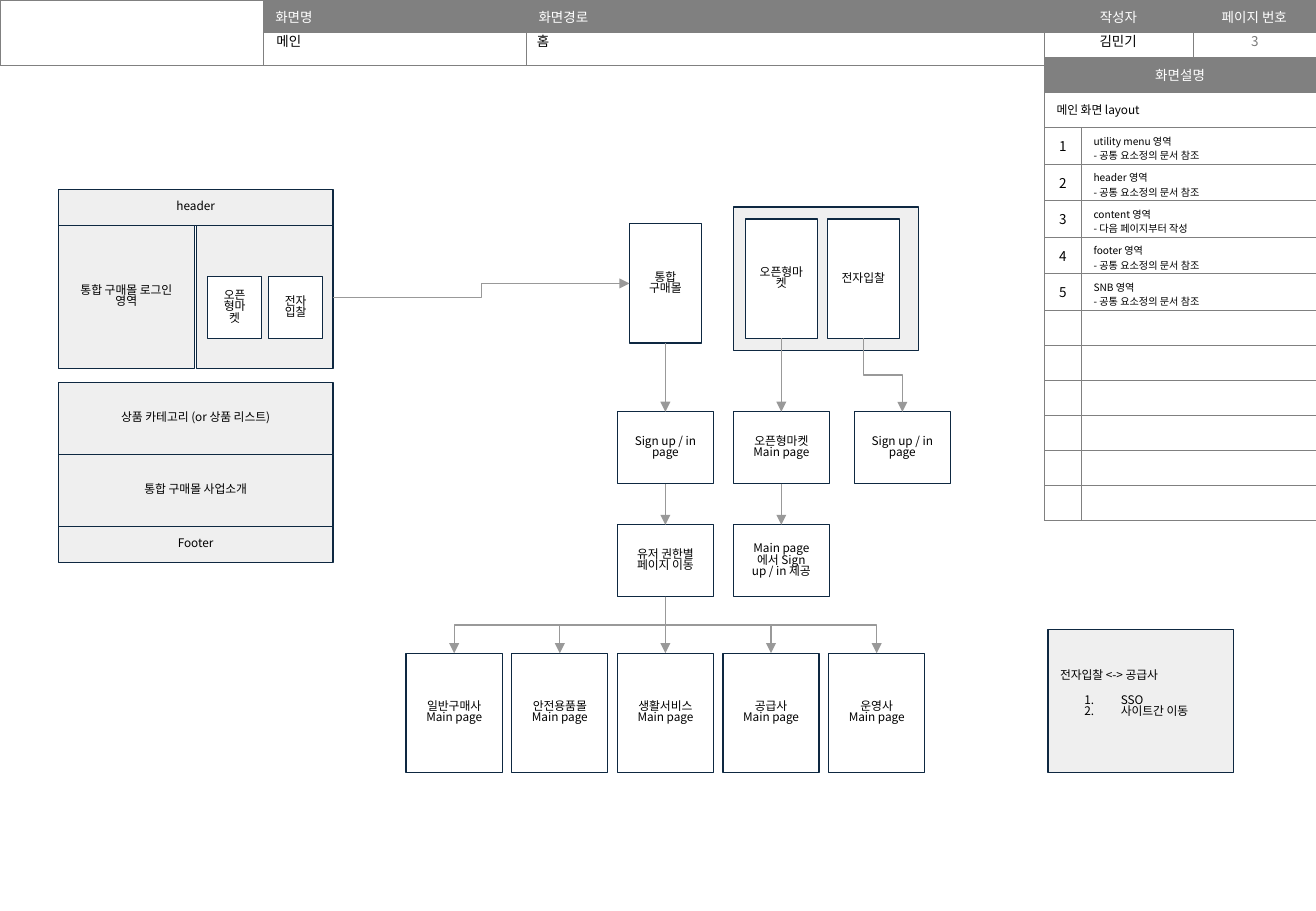
from lxml.etree import SubElement
from pptx import Presentation
from pptx.dml.color import RGBColor
from pptx.enum.shapes import MSO_CONNECTOR, MSO_SHAPE
from pptx.enum.text import MSO_ANCHOR, PP_ALIGN
from pptx.oxml.ns import qn
from pptx.util import Pt

FONT = "Noto Sans CJK KR"
COLORS = {"white": "FFFFFF", "black": "000000", "gray": "808080", "page": "797979",
          "panel": "EFEFEF", "navy": "0E2841", "arrow": "999999"}

# Content
HEADINGS = ["", "화면명", "화면경로", "작성자", "페이지 번호"]
HEADING_WIDTHS = [156, 156, 307, 88, 73]
VALUES = [  # text, left, width, colour, alignment
    ("메인", 156.8, 155, "black", PP_ALIGN.LEFT),
    ("홈", 311.2, 155, "black", PP_ALIGN.LEFT),
    ("김민기", 618.6, 88.4, "black", PP_ALIGN.CENTER),
    ("3", 707.6, 72.4, "page", PP_ALIGN.CENTER),
]
COMMON = "- 공통 요소정의 문서 참조"
AREAS = [("utility menu 영역", COMMON), ("header 영역", COMMON),
         ("content 영역", "- 다음 페이지부터 작성"),
         ("footer 영역", COMMON), ("SNB 영역", COMMON)]
EMPTY_ROWS = 6
SITES = ["일반구매사", "안전용품몰", "생활서비스", "공급사", "운영사"]
NOTE = ["전자입찰 <-> 공급사", "SSO", "사이트간 이동"]

deck = Presentation()
deck.slide_width, deck.slide_height = Pt(780), Pt(540)
page = deck.slides.add_slide(deck.slide_layouts[6])


def color(name):
    return RGBColor.from_string(COLORS[name])


def style(para, size, tint="black", align=PP_ALIGN.CENTER):
    para.alignment = align
    para.font.size = Pt(size)
    para.font.color.rgb = color(tint)
    para.font.name = FONT
    SubElement(para.font._rPr, qn("a:ea"), typeface=FONT)


def set_cell(cell, lines=(), size=8, tint="black", align=PP_ALIGN.LEFT, fill=None):
    if fill:
        cell.fill.solid()
        cell.fill.fore_color.rgb = color(fill)
    else:
        cell.fill.background()
    cell.vertical_anchor = MSO_ANCHOR.MIDDLE
    cell.text_frame.text = "\n".join(lines)
    for para in cell.text_frame.paragraphs:
        style(para, size, tint, align)
        if not lines:
            SubElement(para._p, qn("a:endParaRPr"), sz=str(size * 100))


def add_grid(left, top, widths, heights):
    frame = page.shapes.add_table(len(heights), len(widths), Pt(left), Pt(top),
                                  Pt(sum(widths)), Pt(sum(heights)))
    grid = frame.table
    grid.first_row = grid.horz_banding = False
    for column, width in zip(grid.columns, widths):
        column.width = Pt(width)
    for row, height in zip(grid.rows, heights):
        row.height = Pt(height)
    for cell in grid.iter_cells():
        properties = cell._tc.get_or_add_tcPr()
        for side in ("a:lnL", "a:lnR", "a:lnT", "a:lnB"):
            border = SubElement(properties, qn(side), w=str(Pt(0.25)))
            fill = SubElement(border, qn("a:solidFill"))
            SubElement(fill, qn("a:srgbClr"), val=COLORS["gray"])
        set_cell(cell)
    return grid


def add_box(lines, left, top, width, height, fill="white", align=PP_ALIGN.CENTER):
    box = page.shapes.add_shape(MSO_SHAPE.RECTANGLE, Pt(left), Pt(top), Pt(width), Pt(height))
    box.shadow.inherit = False
    box.fill.solid()
    box.fill.fore_color.rgb = color(fill)
    box.line.color.rgb = color("navy")
    box.line.width = Pt(0.75)
    frame = box.text_frame
    frame.word_wrap = True
    frame.vertical_anchor = MSO_ANCHOR.MIDDLE
    frame.margin_left = frame.margin_right = frame.margin_top = frame.margin_bottom = Pt(7.2)
    if lines:
        frame.text = "\n".join(lines)
        for para in frame.paragraphs:
            para.line_spacing = 0.8
            style(para, 7, align=align)
    return box


def add_arrow(kind, x1, y1, x2, y2):
    arrow = page.shapes.add_connector(kind, Pt(x1), Pt(y1), Pt(x2), Pt(y2))
    arrow.line.color.rgb = color("arrow")
    arrow.line.width = Pt(0.75)
    SubElement(arrow.line._get_or_add_ln(), qn("a:tailEnd"), type="triangle")
    SubElement(arrow._element.spPr, qn("a:effectLst"))
    return arrow


def add_down_arrow(x1, y1, x2, y2):
    if x1 == x2:
        add_arrow(MSO_CONNECTOR.STRAIGHT, x1, y1, x2, y2)
        return
    # An elbow leaves sideways, so turn it a quarter about its centre
    center_x, center_y = (x1 + x2) / 2, (y1 + y2) / 2
    half_x, half_y = abs(x2 - x1) / 2, (y2 - y1) / 2
    turn, side = (270, 1) if x2 > x1 else (90, -1)
    arrow = add_arrow(MSO_CONNECTOR.ELBOW, center_x + side * half_y, center_y - half_x,
                      center_x - side * half_y, center_y + half_x)
    arrow._element.spPr.xfrm.set("rot", str(turn * 60000))


# Page heading
heading = add_grid(0, 0, HEADING_WIDTHS, [19.2, 19.2])
heading.cell(0, 0).merge(heading.cell(1, 0))
for index, name in enumerate(HEADINGS):
    if name:
        align = PP_ALIGN.CENTER if index > 2 else PP_ALIGN.LEFT
        set_cell(heading.cell(0, index), [name], 8, "white", align, "gray")

# Screen description
description = add_grid(619, 34, [22, 139],
                       [20.75] * 2 + [21.65] * len(AREAS) + [20.75] * EMPTY_ROWS)
for cell in description.iter_cells():
    set_cell(cell, fill="white")
for index in range(2):
    description.cell(index, 0).merge(description.cell(index, 1))
set_cell(description.cell(0, 0), ["화면설명"], 8, "white", PP_ALIGN.CENTER, "gray")
set_cell(description.cell(1, 0), ["메인 화면 layout"], 7, fill="white")
for number, lines in enumerate(AREAS, 1):
    set_cell(description.cell(number + 1, 0), [str(number)], 8,
             align=PP_ALIGN.CENTER, fill="white")
    detail = description.cell(number + 1, 1)
    set_cell(detail, lines, 6, fill="white")
    detail.margin_bottom = Pt(0.6)

# Heading values
for text, left, width, tint, align in VALUES:
    box = page.shapes.add_textbox(Pt(left), Pt(15.8), Pt(width), Pt(17.2))
    box.text_frame.word_wrap = True
    box.text_frame.text = text
    style(box.text_frame.paragraphs[0], 8, tint, align)

# Main screen layout
LAYOUT_X, LAYOUT_W, HALF_W = 34.5, 163, 80.8
add_box(["header"], LAYOUT_X, 112.3, LAYOUT_W, 21.3, "panel")
add_box([], LAYOUT_X + LAYOUT_W - HALF_W, 133.6, HALF_W, 84.8, "panel")
add_box(["통합 구매몰 로그인 영역"], LAYOUT_X, 133.6, HALF_W, 84.8, "panel")
for index, name in enumerate(["오픈형마켓", "전자입찰"]):
    add_box([name], 123 + index * 36.1, 163.8, 32.2, 36.8)
top = 226.7
for name, height in [("상품 카테고리 (or 상품 리스트)", 42.65),
                     ("통합 구매몰 사업소개", 42.65), ("Footer", 21.3)]:
    add_box([name], LAYOUT_X, top, LAYOUT_W, height, "panel")
    top += height

# Page flow
STEP_W, STEP_H, TALL_W, TALL_H = 57, 42.6, 42.6, 70.8
SITE_X, SITE_Y, SITE_PITCH = 240.7, 387.2, 62.6
PLAZA_X, MARKET_X, BID_X = SITE_X + 2 * SITE_PITCH, 434.6, 506.3
STEP_Y, NEXT_Y = 244.1, 311.1
add_box([], MARKET_X, 122.7, 110, 85, "panel")
starts = [("통합 구매몰", 373.1, 132.6, PLAZA_X), ("오픈형마켓", 441.8, 129.8, MARKET_X),
          ("전자입찰", 490.4, 129.8, BID_X)]
steps = [["Sign up / in", "page"], ["오픈형마켓", "Main page"], ["Sign up / in", "page"]]
for (name, left, top, step_x), lines in zip(starts, steps):
    add_box([name], left, top, TALL_W, TALL_H)
    add_box(lines, step_x, STEP_Y, STEP_W, STEP_H)
    target = step_x + STEP_W / 2
    source = left + TALL_W / 2
    add_down_arrow(source if step_x == BID_X else target, top + TALL_H, target, STEP_Y)
for name, left in [("유저 권한별 페이지 이동", PLAZA_X),
                   ("Main page에서 Sign up / in 제공", MARKET_X)]:
    add_box([name], left, NEXT_Y, STEP_W, STEP_H)
    center = left + STEP_W / 2
    add_down_arrow(center, STEP_Y + STEP_H, center, NEXT_Y)
for index, name in enumerate(SITES):
    left = SITE_X + index * SITE_PITCH
    add_box([name, "Main page"], left, SITE_Y, STEP_W, TALL_H)
    add_down_arrow(PLAZA_X + STEP_W / 2, NEXT_Y + STEP_H, left + STEP_W / 2, SITE_Y)
add_arrow(MSO_CONNECTOR.ELBOW, LAYOUT_X + LAYOUT_W, 176.2, 373.1, 168)

# Note on linked sites
note = add_box(NOTE, 621.2, 373, 110, 85, "panel", PP_ALIGN.LEFT)
note.text_frame.margin_bottom = Pt(15.3)
for para in note.text_frame.paragraphs[1:]:
    properties = para._p.get_or_add_pPr()
    properties.set("marL", str(Pt(36)))
    properties.set("indent", str(Pt(-21.6)))
    number = SubElement(properties, qn("a:buAutoNum"), type="arabicPeriod")
    properties.insert(list(properties).index(properties.find(qn("a:defRPr"))), number)
note.text_frame.paragraphs[1].space_before = Pt(8.1)

deck.save("out.pptx")
